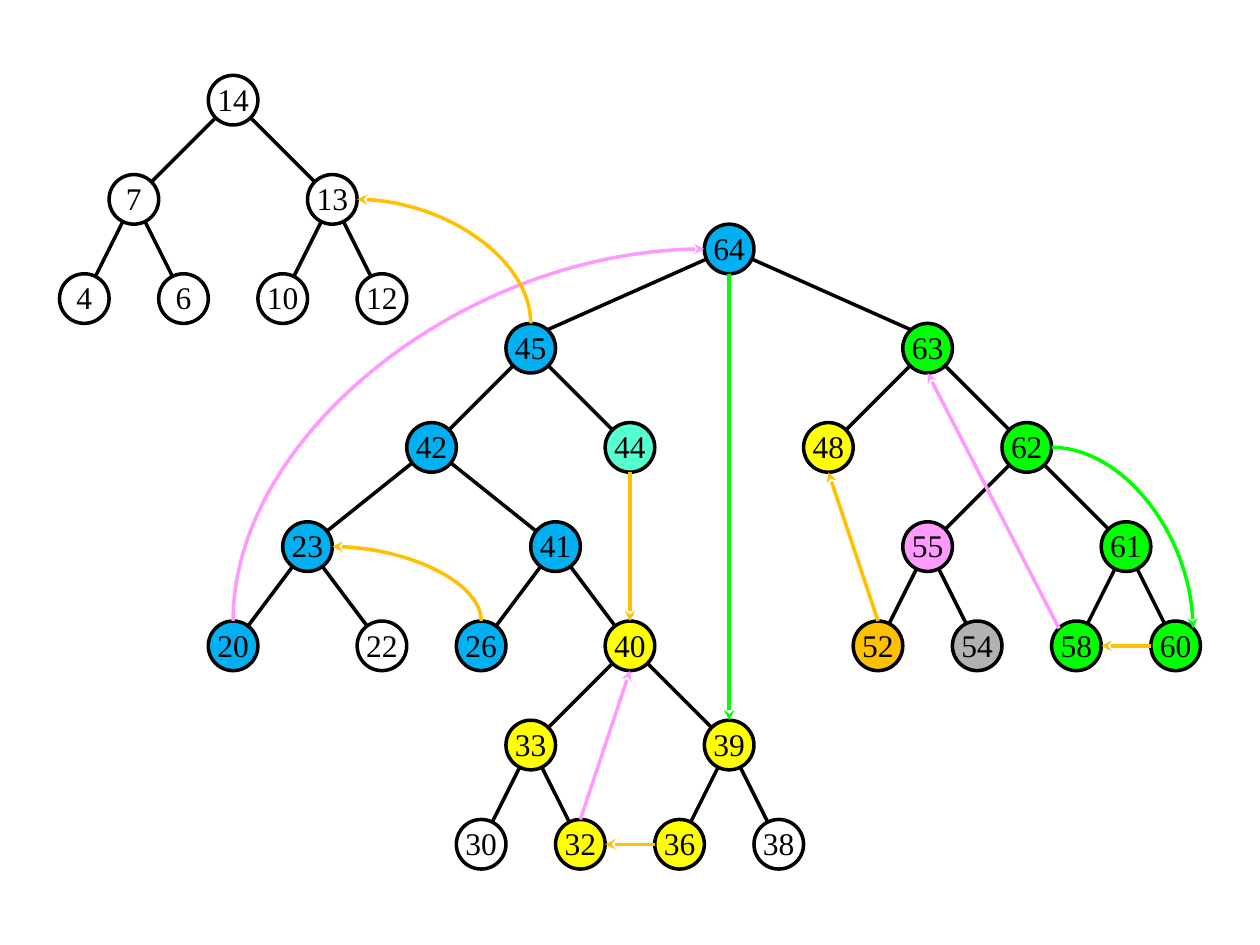
from dataclasses import dataclass

from lxml.etree import SubElement
from pptx import Presentation
from pptx.dml.color import RGBColor
from pptx.enum.shapes import MSO_CONNECTOR, MSO_SHAPE
from pptx.enum.text import MSO_ANCHOR, PP_ALIGN
from pptx.oxml.ns import qn
from pptx.shapes.connector import Connector
from pptx.util import Cm, Pt

COLORS = {
    "black": "000000", "white": "FFFFFF", "blue": "00B0F0", "green": "00FF00",
    "yellow": "FFFF00", "mint": "56FFD2", "pink": "FF99FF", "orange": "FFC000",
    "gray": "B2B2B2",
}
SIZE = 1.0
SIDES = {
    "top": (0, -0.5), "bottom": (0, 0.5), "left": (-0.5, 0), "right": (0.5, 0),
    "top left": (-0.35, -0.35), "top right": (0.35, -0.35),
}


@dataclass
class Node:
    x: float
    row: float
    fill: str = "white"
    up: int = 0
    shift: float = 0  # moves the lower end of the edge sideways

    @property
    def y(self) -> float:
        return self.row + 0.02


@dataclass
class Link:
    start: int
    side: str
    end: int
    to: str
    color: str
    bend: str = ""  # direction in which a curve leaves its start


NODES = {
    14: Node(4.7, 2),
    7: Node(2.7, 4, up=14),
    13: Node(6.7, 4, up=14),
    4: Node(1.7, 6, up=7),
    6: Node(3.7, 6, up=7),
    10: Node(5.7, 6, up=13),
    12: Node(7.7, 6, up=13),
    64: Node(14.7, 5, "blue"),
    45: Node(10.7, 7, "blue", 64, -0.5),
    63: Node(18.7, 7, "green", 64, 0.5),
    42: Node(8.7, 9, "blue", 45),
    44: Node(12.7, 9, "mint", 45),
    48: Node(16.7, 9, "yellow", 63),
    62: Node(20.7, 9, "green", 63),
    23: Node(6.2, 11, "blue", 42),
    41: Node(11.2, 11, "blue", 42),
    55: Node(18.7, 11, "pink", 62),
    61: Node(22.7, 11, "green", 62),
    20: Node(4.7, 13, "blue", 23),
    22: Node(7.7, 13, up=23),
    26: Node(9.7, 13, "blue", 41),
    40: Node(12.7, 13, "yellow", 41),
    52: Node(17.7, 13, "orange", 55),
    54: Node(19.7, 13, "gray", 55),
    58: Node(21.7, 13, "green", 61),
    60: Node(23.7, 13, "green", 61),
    33: Node(10.7, 15, "yellow", 40),
    39: Node(14.7, 15, "yellow", 40),
    30: Node(9.7, 17, up=33),
    32: Node(11.7, 17, "yellow", 33),
    36: Node(13.7, 17, "yellow", 39),
    38: Node(15.7, 17, up=39),
}

LINKS = [
    Link(20, "top", 64, "left", "pink", "up"),
    Link(44, "bottom", 40, "top", "orange"),
    Link(52, "top", 48, "bottom", "orange"),
    Link(64, "bottom", 39, "top", "green"),
    Link(58, "top left", 63, "bottom", "pink"),
    Link(32, "top", 40, "bottom", "pink"),
    Link(36, "left", 32, "right", "orange"),
    Link(62, "right", 60, "top right", "green", "across"),
    Link(60, "left", 58, "right", "orange"),
    Link(26, "top", 23, "right", "orange", "up"),
    Link(45, "top", 13, "right", "orange", "up"),
]


def paint(name: str) -> RGBColor:
    return RGBColor.from_string(COLORS[name])


def draw_line(shapes, x1: float, y1: float, x2: float, y2: float,
              color: str, kind=MSO_CONNECTOR.STRAIGHT) -> Connector:
    line = shapes.add_connector(kind, Cm(x1), Cm(y1), Cm(x2), Cm(y2))
    line.line.width = Pt(2)
    line.line.color.rgb = paint(color)
    SubElement(line._element.spPr, qn("a:effectLst"))
    return line


def draw_edge(shapes, node: Node) -> None:
    top = NODES[node.up]
    draw_line(shapes, node.x + node.shift, node.y, top.x, top.y, "black")


def draw_node(shapes, key: int, node: Node) -> None:
    disc = shapes.add_shape(MSO_SHAPE.OVAL, Cm(node.x - SIZE / 2),
                            Cm(node.y - SIZE / 2), Cm(SIZE), Cm(SIZE))
    disc.shadow.inherit = False
    disc.fill.solid()
    disc.fill.fore_color.rgb = paint(node.fill)
    disc.line.color.rgb = paint("black")
    disc.line.width = Pt(2)
    frame = disc.text_frame
    frame.word_wrap = False
    frame.vertical_anchor = MSO_ANCHOR.MIDDLE
    frame.margin_left = frame.margin_right = Cm(0.25)
    frame.margin_top, frame.margin_bottom = Cm(0.1), Cm(0.15)
    text = frame.paragraphs[0]
    text.text = str(key)
    text.alignment = PP_ALIGN.CENTER
    text.font.name = "Times New Roman"
    text.font.size = Pt(18)
    text.font.color.rgb = paint("black")


def find_port(key: int, side: str) -> tuple[float, float]:
    """Return the point on the rim of a node at the given side."""
    dx, dy = SIDES[side]
    return NODES[key].x + dx, NODES[key].y + dy


def draw_curve(shapes, x1: float, y1: float, x2: float, y2: float,
               color: str, bend: str) -> Connector:
    """Draw a quarter arc; one that leaves upward is a turned box."""
    turn = 0
    if bend == "up":
        mx, my = (x1 + x2) / 2, (y1 + y2) / 2
        sign = 1 if x2 > x1 else -1
        turn = 90 if sign > 0 else 270
        dx, dy = sign * (x2 - x1) / 2, sign * (y2 - y1) / 2
        x1, y1, x2, y2 = mx - dy, my + dx, mx + dy, my - dx
    line = draw_line(shapes, x1, y1, x2, y2, color, MSO_CONNECTOR.CURVE)
    props = line._element.spPr
    props.find(qn("a:prstGeom")).set("prst", "curvedConnector2")
    if turn:
        props.find(qn("a:xfrm")).set("rot", str(turn * 60000))
    return line


def draw_link(shapes, link: Link) -> None:
    ends = *find_port(link.start, link.side), *find_port(link.end, link.to)
    if link.bend:
        line = draw_curve(shapes, *ends, link.color, link.bend)
    else:
        line = draw_line(shapes, *ends, link.color)
    SubElement(line.line._get_or_add_ln(), qn("a:tailEnd"), type="stealth")


def main() -> None:
    deck = Presentation()
    deck.slide_width, deck.slide_height = Cm(25.4), Cm(19.05)
    shapes = deck.slides.add_slide(deck.slide_layouts[6]).shapes
    for node in NODES.values():
        if node.up:
            draw_edge(shapes, node)
    for key, node in NODES.items():
        draw_node(shapes, key, node)
    for link in LINKS:
        draw_link(shapes, link)
    deck.save("out.pptx")


if __name__ == "__main__":
    main()
